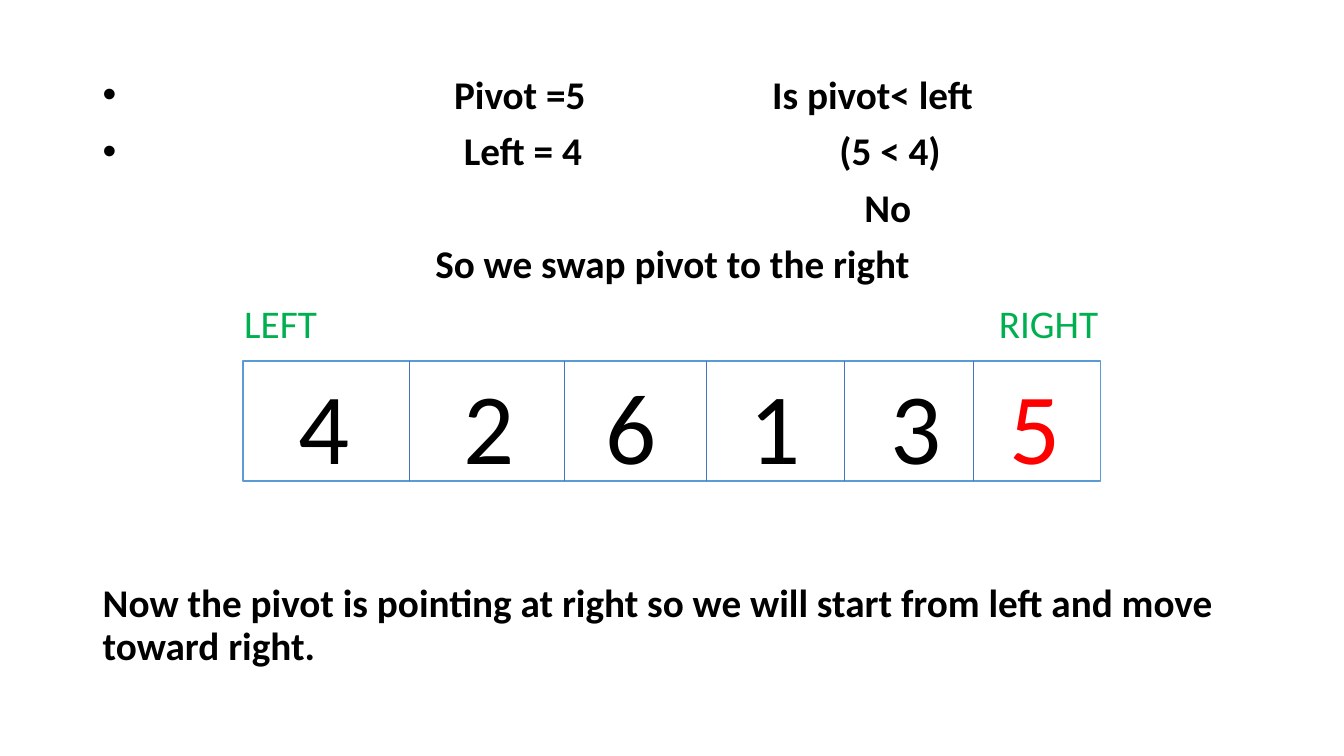
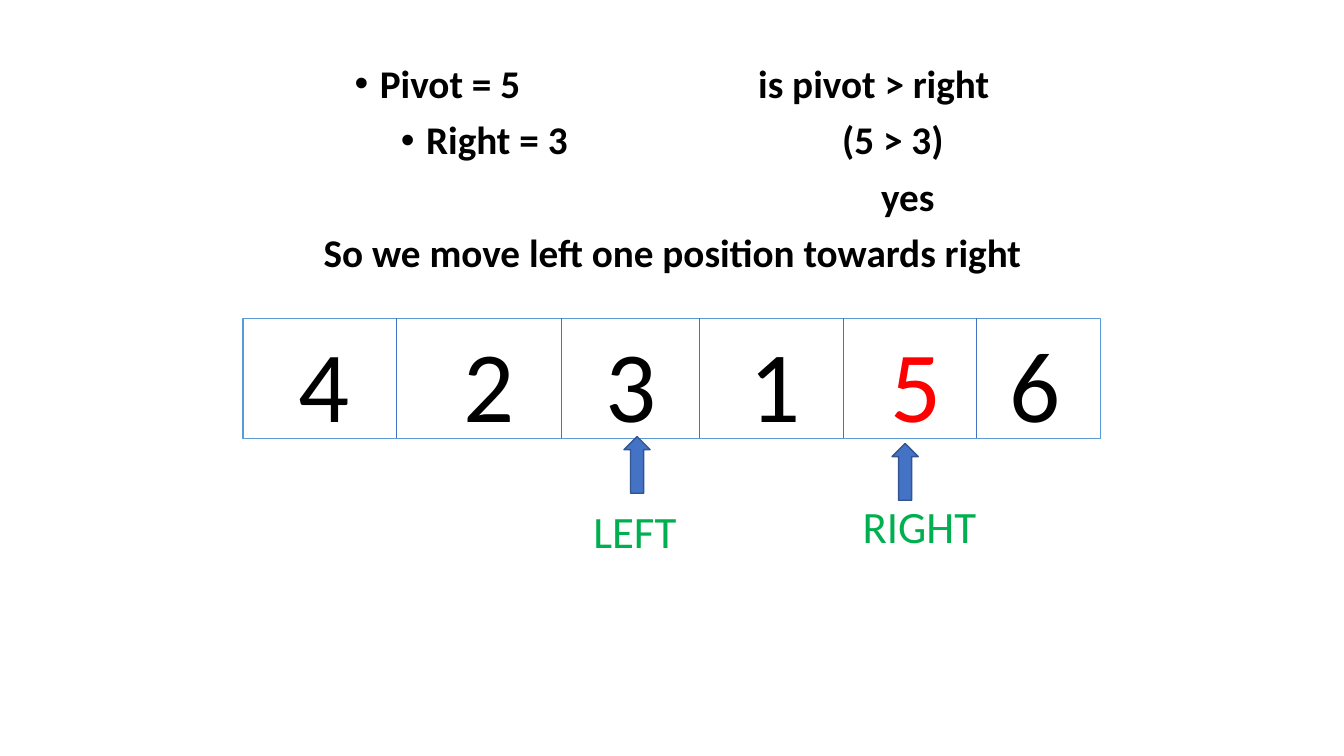
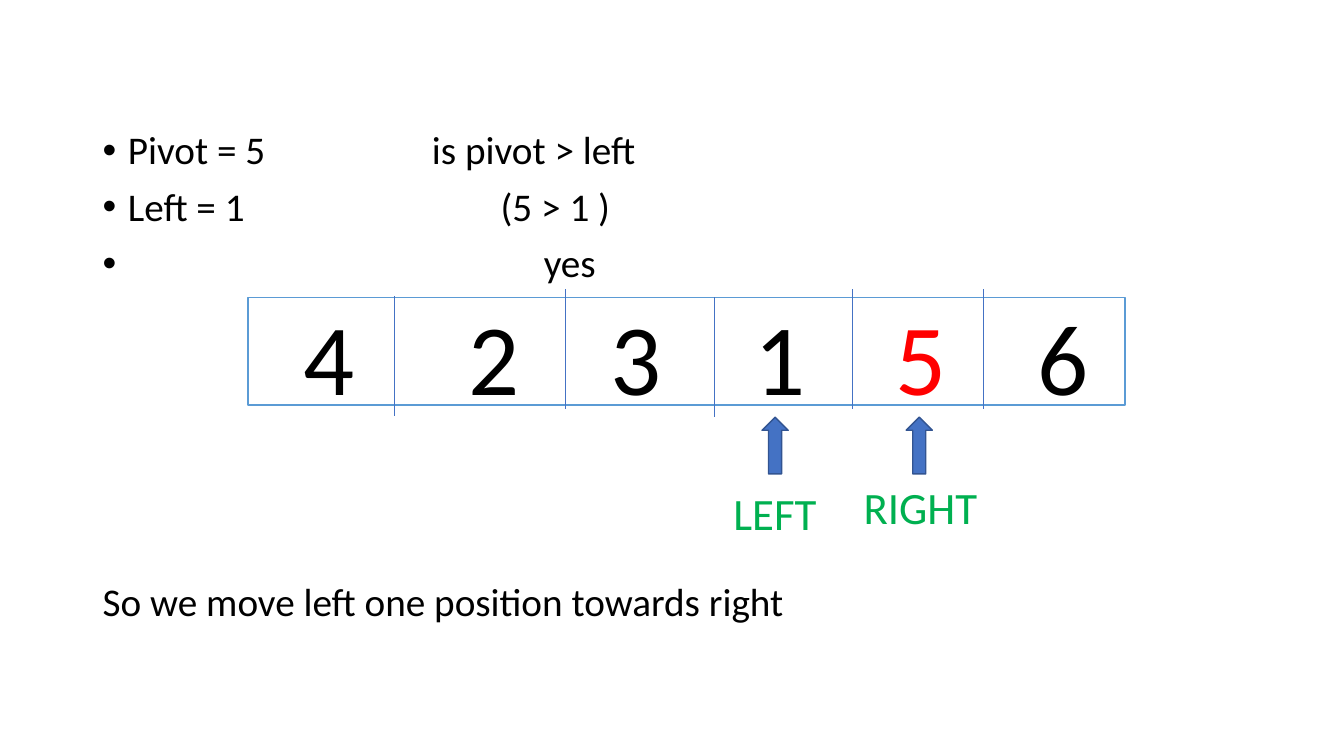
from dataclasses import dataclass

from lxml import etree
from pptx import Presentation
from pptx.dml.color import RGBColor
from pptx.enum.shapes import MSO_CONNECTOR, MSO_SHAPE
from pptx.enum.text import MSO_ANCHOR, MSO_AUTO_SIZE, PP_ALIGN
from pptx.oxml.ns import qn
from pptx.util import Pt

# Shared look
COLORS = {
    "text": "000000", "pivot": "FF0000", "label": "00B050", "white": "FFFFFF",
    "row_line": "5B9BD5", "blue": "4472C4", "arrow_line": "325491",
}
FONT = "Calibri"
BODY_SIZE, LABEL_SIZE, DIGIT_SIZE = 28, 32, 72
BODY_LEFT, BODY_WIDTH = 66.2, 828
LINE_GAP = 10
ROW_GAP = 212  # space kept free for the row of numbers
DIGIT_STOPS = [50.7, 168.6, 270, 373, 473.6, 558.6]
DIVIDER_HEIGHT = 85.5
ARROW_WIDTH, ARROW_HEIGHT = 18.7, 40.5


@dataclass
class Line:
    text: str
    left: float = 0
    hang: float = 0
    bullet: bool = False
    before: float = LINE_GAP
    center: bool = False


def rgb(name):
    return RGBColor.from_string(COLORS[name])


def format_run(r, size, color="text", bold=False):
    r.font.name = FONT
    r.font.size = Pt(size)
    r.font.bold = bold
    r.font.color.rgb = rgb(color)


def set_indent(p, line):
    pPr = p._p.get_or_add_pPr()
    pPr.set("marL", str(Pt(line.left)))
    pPr.set("indent", str(-Pt(line.hang)))
    if line.bullet:
        etree.SubElement(pPr, qn("a:buFont")).set("typeface", "Arial")
        etree.SubElement(pPr, qn("a:buChar")).set("char", "•")
    else:
        etree.SubElement(pPr, qn("a:buNone"))


def fill_lines(tf, lines, bold):
    tf.word_wrap = True
    tf.auto_size = MSO_AUTO_SIZE.NONE
    tf.text = "\n".join(line.text for line in lines)
    for p, line in zip(tf.paragraphs, lines):
        p.alignment = PP_ALIGN.CENTER if line.center else PP_ALIGN.LEFT
        p.line_spacing = 0.9
        p.space_before = Pt(line.before)
        p.space_after = Pt(0)
        set_indent(p, line)
        format_run(p.runs[0], BODY_SIZE, bold=bold)


def add_body_slide(prs, top, height, lines, bold=True):
    s = prs.slides.add_slide(prs.slide_layouts[1])
    title = s.shapes.title
    title.element.getparent().remove(title.element)
    body = s.placeholders[1]
    body.left, body.top = Pt(BODY_LEFT), Pt(top)
    body.width, body.height = Pt(BODY_WIDTH), Pt(height)
    fill_lines(body.text_frame, lines, bold)
    return s


def add_question(s, left, top, lines, bold=True):
    box = s.shapes.add_textbox(Pt(left), Pt(top), Pt(200), Pt(84))
    fill_lines(box.text_frame, lines, bold)


def add_number_row(s, left, top, width, height, digits, last_stop=DIGIT_STOPS[-1]):
    row = s.shapes.add_shape(MSO_SHAPE.RECTANGLE, Pt(left), Pt(top), Pt(width), Pt(height))
    row.shadow.inherit = False
    row.fill.solid()
    row.fill.fore_color.rgb = rgb("white")
    row.line.color.rgb = rgb("row_line")
    row.line.width = Pt(1)
    tf = row.text_frame
    tf.word_wrap = True
    tf.vertical_anchor = MSO_ANCHOR.MIDDLE
    tf.margin_top, tf.margin_bottom = Pt(5), Pt(0)
    p = tf.paragraphs[0]
    p.alignment = PP_ALIGN.LEFT
    # One centred tab stop for each number
    tabs = etree.SubElement(p._p.get_or_add_pPr(), qn("a:tabLst"))
    for stop in DIGIT_STOPS[:-1] + [last_stop]:
        etree.SubElement(tabs, qn("a:tab"), pos=str(Pt(stop)), algn="ctr")
    for digit in digits:
        r = p.add_run()
        r.text = "\t" + digit
        format_run(r, DIGIT_SIZE, "pivot" if digit == "5" else "text")


def add_dividers(s, xs, tops):
    for x, top in zip(xs, tops):
        line = s.shapes.add_connector(
            MSO_CONNECTOR.STRAIGHT, Pt(x), Pt(top), Pt(x), Pt(top + DIVIDER_HEIGHT))
        line.line.color.rgb = rgb("blue")
        line.line.width = Pt(0.5)
        etree.SubElement(line._element.spPr, qn("a:effectLst"))


def add_label(s, text, left, top, width, size=LABEL_SIZE):
    box = s.shapes.add_textbox(Pt(left), Pt(top), Pt(width), Pt(46))
    tf = box.text_frame
    tf.word_wrap = True
    tf.text = text
    p = tf.paragraphs[0]
    p.alignment = PP_ALIGN.CENTER
    format_run(p.runs[0], size, "label")


def add_up_arrow(s, left, top):
    arrow = s.shapes.add_shape(
        MSO_SHAPE.UP_ARROW, Pt(left), Pt(top), Pt(ARROW_WIDTH), Pt(ARROW_HEIGHT))
    arrow.shadow.inherit = False
    arrow.fill.solid()
    arrow.fill.fore_color.rgb = rgb("blue")
    arrow.line.color.rgb = rgb("arrow_line")
    arrow.line.width = Pt(1)


def build_pivot_swap(prs):
    s = add_body_slide(prs, 50.4, 435.6, [
        Line("Pivot =5", 251, 251, bullet=True),
        Line("Left = 4", 258, 258, bullet=True),
        Line("No", 544),
        Line("So we swap pivot to the right", center=True),
        Line("Now the pivot is pointing at right so we will start from left "
             "and move toward right.", before=ROW_GAP),
    ])
    add_question(s, 544.5, 50.4, [Line("Is pivot< left"), Line("(5 < 4)", 48)])
    add_number_row(s, 173.5, 257.8, 612.7, 85.7, "426135")
    add_dividers(s, [292.3, 403.2, 504.7, 603.4, 695.5], [257.8] * 5)
    add_label(s, "LEFT", 154.4, 210, 92, BODY_SIZE)
    add_label(s, "RIGHT", 692, 210, 114, BODY_SIZE)


def build_compare_right(prs):
    s = add_body_slide(prs, 42.5, 443.5, [
        Line("Pivot = 5", 198, 18, bullet=True),
        Line("Right = 3", 231, 18, bullet=True),
        Line("yes", 556),
        Line("So we move left one position towards right", center=True),
    ])
    add_question(s, 534.5, 42.5, [Line("is pivot > right"), Line("(5 > 3)", 60)])
    add_number_row(s, 173.5, 227.5, 612.7, 85.7, "423156")
    add_dividers(s, [283, 401, 499.7, 602.6, 697.7], [227.5] * 5)
    add_label(s, "LEFT", 407.5, 356.4, 92)
    add_label(s, "RIGHT", 599.8, 352.8, 114)
    add_up_arrow(s, 445.7, 311.8)
    add_up_arrow(s, 637.2, 316.8)


def build_compare_left(prs):
    s = add_body_slide(prs, 90, 396, [
        Line("Pivot = 5", 18, 18, bullet=True),
        Line("Left = 1", 18, 18, bullet=True),
        Line("yes", 315, 315, bullet=True),
        Line("So we move left one position towards right", before=ROW_GAP),
    ], bold=False)
    add_question(s, 301.5, 90, [Line("is pivot > left"), Line("(5 > 1 )", 49)], bold=False)
    add_number_row(s, 177.1, 212.4, 626.4, 77, "423156", last_stop=575)
    add_dividers(s, [281.5, 403.9, 510.5, 609.1, 702.7],
                 [211.7, 206.6, 212.4, 206.6, 206.6])
    add_up_arrow(s, 544.3, 298)
    add_up_arrow(s, 647.3, 298)
    add_label(s, "LEFT", 507.6, 343.4, 92)
    add_label(s, "RIGHT", 600.5, 339.1, 114)


def main():
    prs = Presentation()
    prs.slide_width, prs.slide_height = Pt(960), Pt(540)
    build_pivot_swap(prs)
    build_compare_right(prs)
    build_compare_left(prs)
    prs.save("out.pptx")


main()
